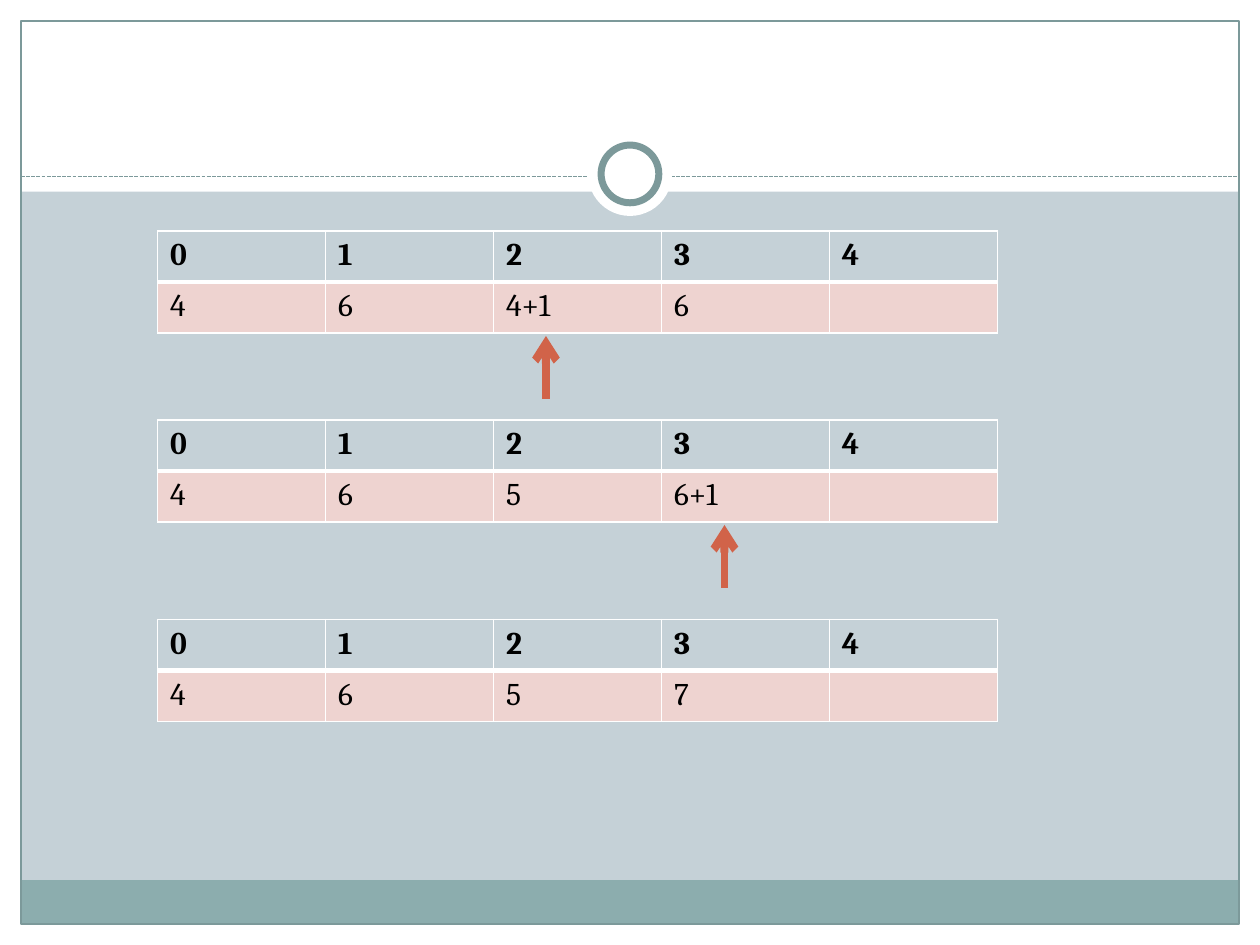
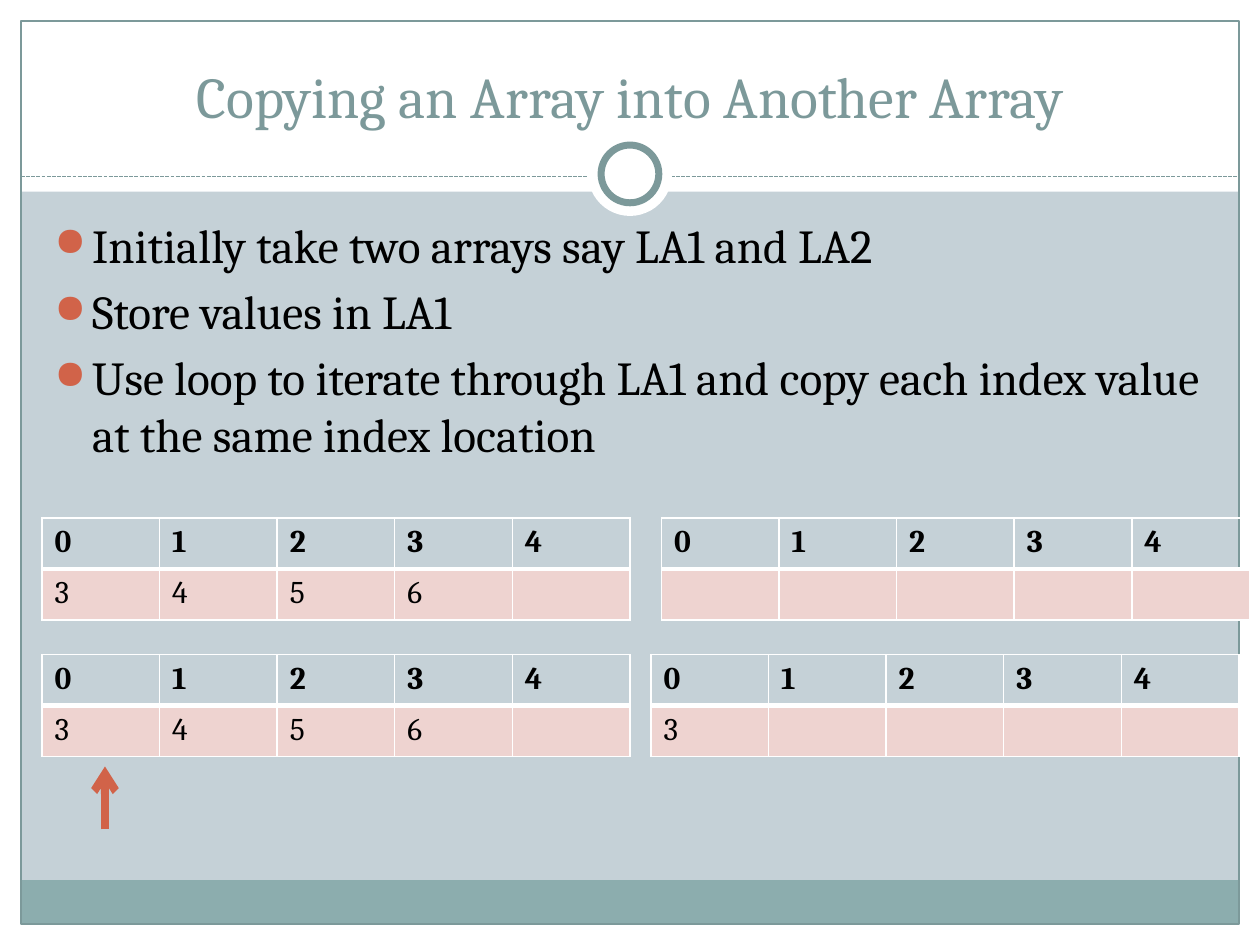
from dataclasses import dataclass

from pptx import Presentation
from pptx.dml.color import RGBColor
from pptx.enum import dml, shapes, text
from pptx.oxml import parse_xml
from pptx.oxml.ns import nsdecls
from pptx.util import Pt


@dataclass(frozen=True)
class Theme:
    """Colours, font and type sizes shared by the slides."""

    back: str = "C5D1D7"
    white: str = "FFFFFF"
    band: str = "8CADAE"
    teal: str = "7C999A"
    accent: str = "D16349"
    pink: str = "EED3D0"
    ink: str = "000000"
    font: str = "Cambria"
    head: int = 33
    body: int = 27
    cell: int = 18


T = Theme()
WIDE, HIGH = 720, 540
EDGE = 12
ROW = 29.2
RISE = 36
INDEX = ["0", "1", "2", "3", "4"]
SHAPE = shapes.MSO_SHAPE


def rgb(code):
    """Return a colour from its hex code."""
    return RGBColor.from_string(code)


def xml(body):
    """Return a drawing element with its namespace declared."""
    name, rest = body[:-2].partition(" ")[::2]
    return parse_xml(f"{name} {nsdecls('a')} {rest}/>")


def style(para, size, color, bold=False):
    """Format every run of a paragraph."""
    for run in para.runs:
        font = run.font
        font.name, font.size, font.bold = T.font, Pt(size), bold
        font.color.rgb = rgb(color)


def plate(slide, kind, box, fill=None, line=None, width=0.75):
    """Add a preset shape with an optional fill and outline."""
    item = slide.shapes.add_shape(kind, *map(Pt, box))
    item.shadow.inherit = False
    if fill:
        item.fill.solid()
        item.fill.fore_color.rgb = rgb(fill)
    else:
        item.fill.background()
    if line:
        item.line.color.rgb = rgb(line)
        item.line.width = Pt(width)
    else:
        item.line.fill.background()


def stroke(slide, start, end, color, width):
    """Add a straight line without a shadow."""
    item = slide.shapes.add_connector(
        shapes.MSO_CONNECTOR.STRAIGHT, *map(Pt, (*start, *end)))
    item.line.color.rgb = rgb(color)
    item.line.width = Pt(width)
    item._element.spPr.append(xml("<a:effectLst />"))
    return item


def arrow(slide, x, tip):
    """Add an upward pointer whose tip is at the given place."""
    item = stroke(slide, (x, tip + RISE), (x, tip), T.accent, 4.5)
    item.line._get_or_add_ln().append(xml('<a:tailEnd type="arrow"/>'))


def ring(slide, x, y):
    """Add the double circle centred on a point."""
    for size, line in ((48, None), (33, T.teal)):
        box = (x - size / 2, y - size / 2, size, size)
        plate(slide, SHAPE.OVAL, box, T.white, line, 4)


def base(deck):
    """Add a blank slide with the shared bands, frame and ring."""
    slide = deck.slides.add_slide(deck.slide_layouts[6])
    slide.background.fill.solid()
    slide.background.fill.fore_color.rgb = rgb(T.back)
    inner = WIDE - 2 * EDGE
    for box, fill in (
        ((0, HIGH - EDGE, WIDE, EDGE), T.white),
        ((0, 0, WIDE, 109.5), T.white),
        ((0, 0, EDGE, HIGH), T.white),
        ((WIDE - EDGE, 0, EDGE, HIGH), T.white),
        ((EDGE, 503, inner, 25), T.band),
    ):
        plate(slide, SHAPE.RECTANGLE, box, fill)
    frame = (EDGE, EDGE, inner, HIGH - 2 * EDGE)
    plate(slide, SHAPE.RECTANGLE, frame, line=T.teal)
    rule = stroke(slide, (EDGE, 100.8), (WIDE - EDGE, 100.8), T.teal, 0.75)
    rule.line.dash_style = dml.MSO_LINE.SQUARE_DOT
    ring(slide, WIDE / 2, 99.4)
    return slide


def edges(cell, top, base):
    """Draw the four white borders of a cell."""
    props = cell._tc.get_or_add_tcPr()
    for side, width in (("L", 1), ("R", 1), ("T", top), ("B", base)):
        line = xml(f'<a:ln{side} w="{Pt(width)}"/>')
        fill = xml("<a:solidFill />")
        fill.append(xml(f'<a:srgbClr val="{T.white}"/>'))
        line.append(fill)
        props.append(line)


def array(slide, x, y, width, values):
    """Add a table of indexes above the values they hold."""
    count = len(INDEX)
    grid = slide.shapes.add_table(
        2, count, Pt(x), Pt(y), Pt(width), Pt(2 * ROW)).table
    grid.first_row = grid.horz_banding = False
    for col in grid.columns:
        col.width = Pt(width / count)
    filled = values + [""] * (count - len(values))
    for r, row in enumerate((INDEX, filled)):
        for c, word in enumerate(row):
            cell = grid.cell(r, c)
            edges(cell, *((3, 1) if r else (1, 3)))
            if r:
                cell.fill.solid()
                cell.fill.fore_color.rgb = rgb(T.pink)
            else:
                cell.fill.background()
            cell.text_frame.text = word
            style(cell.text_frame.paragraphs[0], T.cell, T.ink, r == 0)


def label(slide, box, words):
    """Add a wrapping text box and return its frame."""
    frame = slide.shapes.add_textbox(*map(Pt, box)).text_frame
    frame.word_wrap = True
    frame.text = words
    return frame


def title(slide, box, words):
    """Add the centred title, resting on the bottom of its box."""
    frame = label(slide, box, words)
    frame.vertical_anchor = text.MSO_ANCHOR.BOTTOM
    para = frame.paragraphs[0]
    para.alignment = text.PP_ALIGN.CENTER
    style(para, T.head, T.teal)


def points(slide, box, lines):
    """Add a bulleted list."""
    frame = label(slide, box, "\n".join(lines))
    for para in frame.paragraphs:
        style(para, T.body, T.ink)
        para.space_before = Pt(T.body * 0.2)
        props = para._p.get_or_add_pPr()
        props.set("marL", str(Pt(21.6)))
        props.set("indent", str(-Pt(21.6)))
        color = xml("<a:buClr />")
        color.append(xml(f'<a:srgbClr val="{T.accent}"/>'))
        props.append(color)
        props.append(xml('<a:buSzPct val="85000"/>'))
        props.append(xml('<a:buChar char="●"/>'))


def steps(deck):
    """Build the slide that adds one to two values in turn."""
    slide = base(deck)
    for x, tip in ((312, 192), (414, 300)):
        arrow(slide, x, tip)
    for y, values in (
        (132, ["4", "6", "4+1", "6"]),
        (240, ["4", "6", "5", "6+1"]),
        (354, ["4", "6", "5", "7"]),
    ):
        array(slide, 90, y, 480, values)


def clone(deck):
    """Build the slide that copies one array into another."""
    slide = base(deck)
    title(slide, (24, 18, 672, 60), "Copying an Array into Another Array")
    points(slide, (24, 120, 669.6, 360), [
        "Initially take two arrays say LA1 and LA2",
        "Store values in LA1",
        "Use loop to iterate through LA1 and copy each index value "
        "at the same index location",
    ])
    for y, x, values in ((296, 378, []), (374, 372, ["3"])):
        array(slide, 24, y, 336, ["3", "4", "5", "6"])
        array(slide, x, y, 336, values)
    arrow(slide, 60, 438)


def main():
    """Build and save the deck."""
    deck = Presentation()
    deck.slide_width, deck.slide_height = Pt(WIDE), Pt(HIGH)
    steps(deck)
    clone(deck)
    deck.save("out.pptx")


if __name__ == "__main__":
    main()
